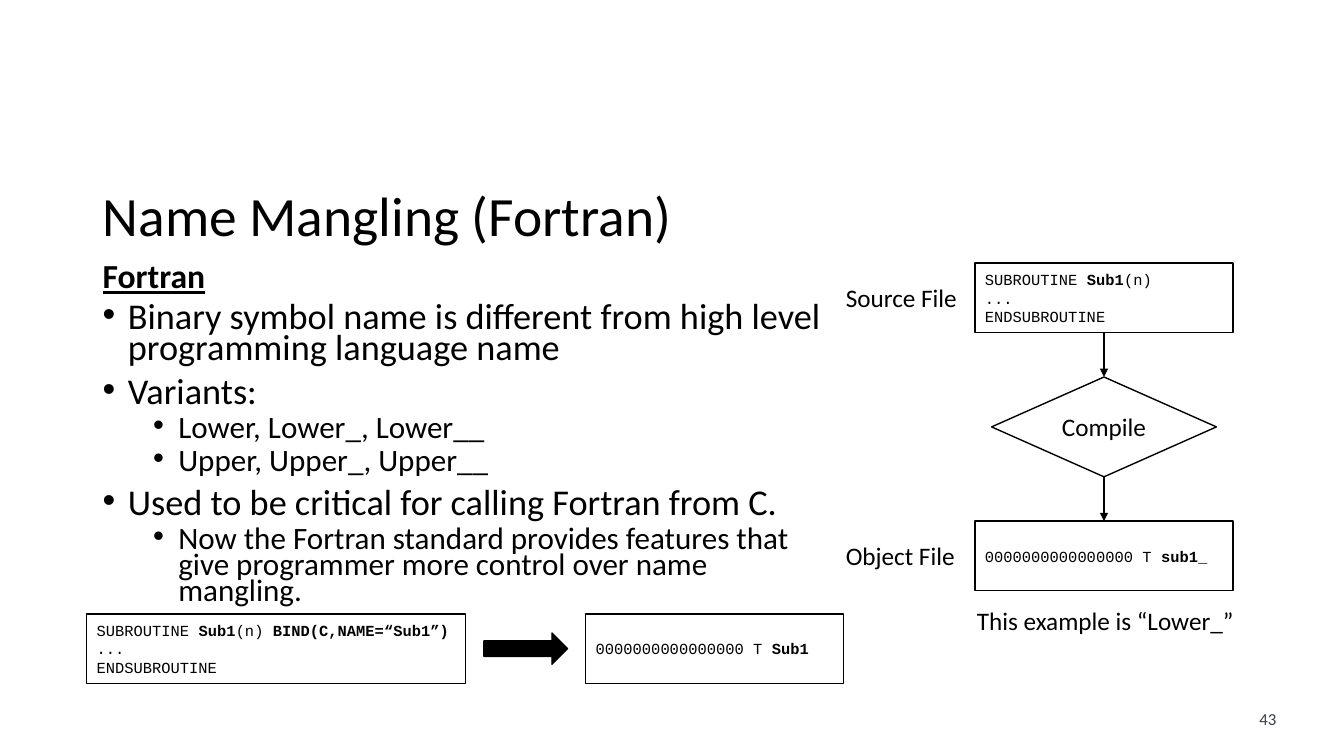
from dataclasses import dataclass

from lxml import etree
from pptx import Presentation
from pptx.dml.color import RGBColor
from pptx.enum.shapes import MSO_CONNECTOR as Connector, MSO_SHAPE as Shape
from pptx.enum.text import MSO_ANCHOR as Anchor, MSO_AUTO_SIZE as AutoSize, PP_ALIGN as Align
from pptx.oxml.ns import qn
from pptx.util import Inches, Pt

BLACK = RGBColor(0x00, 0x00, 0x00)
WHITE = RGBColor(0xFF, 0xFF, 0xFF)
SLATE = RGBColor(0x33, 0x3F, 0x50)
SANS, MONO = "Calibri", "Courier New"
SLIDE_WIDTH, SLIDE_HEIGHT = 13.33, 7.5
NODE_WIDTH, NODE_HEIGHT = 2.56, 0.69
LABEL_HEIGHT = 0.4

BULLETS = [
    (0, "Binary symbol name is different from high level programming language name"),
    (0, "Variants:"),
    (1, "Lower, Lower_, Lower__"),
    (1, "Upper, Upper_, Upper__"),
    (0, "Used to be critical for calling Fortran from C."),
    (1, "Now the Fortran standard provides features that give programmer "
        "more control over name mangling."),
]
SOURCE_CODE = [[("SUBROUTINE ", False), ("Sub1", True), ("(n)", False)],
               [("...", False)], [("ENDSUBROUTINE", False)]]
BIND_CODE = [[("SUBROUTINE ", False), ("Sub1", True), ("(n) ", False),
              ("BIND(C,NAME=“Sub1”)", True)], *SOURCE_CODE[1:]]


@dataclass
class Box:
    """A rectangle in inches."""
    left: float
    top: float
    width: float
    height: float

    def emu(self):
        """Return the rectangle as lengths for python-pptx."""
        return [Inches(value) for value in (self.left, self.top, self.width, self.height)]


def symbol_code(name):
    """Return the object file line for a symbol."""
    return [[("0000000000000000 T ", False), (name, True)]]


def style(paragraph, size, name=SANS, color=BLACK, align=Align.LEFT):
    """Set the font and alignment of a paragraph."""
    paragraph.alignment = align
    font = paragraph.font
    font.name, font.size, font.color.rgb = name, Pt(size), color


def add_label(slide, box, text, size=18, color=BLACK, align=Align.LEFT):
    """Add one unwrapped line of text."""
    frame = slide.shapes.add_textbox(*box.emu()).text_frame
    frame.word_wrap = False
    frame.text = text
    style(frame.paragraphs[0], size, color=color, align=align)
    return frame


def add_node(slide, kind, box, fill=WHITE):
    """Add an outlined shape and return its text frame."""
    shape = slide.shapes.add_shape(kind, *box.emu())
    shape.shadow.inherit = False
    shape.fill.solid()
    shape.fill.fore_color.rgb = fill
    shape.line.color.rgb = BLACK
    shape.line.width = Pt(1)
    frame = shape.text_frame
    frame.vertical_anchor = Anchor.MIDDLE
    return frame


def add_code(slide, box, lines):
    """Add a box of code with bold symbol names."""
    frame = add_node(slide, Shape.RECTANGLE, box)
    for index, line in enumerate(lines):
        paragraph = frame.add_paragraph() if index else frame.paragraphs[0]
        style(paragraph, 11, MONO)
        for text, bold in line:
            run = paragraph.add_run()
            run.text, run.font.bold = text, bold


def add_arrow(slide, x, top, bottom):
    """Add a downward arrow."""
    arrow = slide.shapes.add_connector(
        Connector.STRAIGHT, Inches(x), Inches(top), Inches(x), Inches(bottom))
    arrow.line.color.rgb = BLACK
    arrow.line.width = Pt(1)
    properties = arrow.element.spPr
    etree.SubElement(properties.find(qn("a:ln")), qn("a:tailEnd"), type="triangle")
    etree.SubElement(properties, qn("a:effectLst"))


def add_title(slide, box, text):
    """Place and format the title placeholder."""
    title = slide.shapes.title
    title.left, title.top, title.width, title.height = box.emu()
    frame = title.text_frame
    frame.text = text
    frame.auto_size = AutoSize.NONE
    frame.vertical_anchor = Anchor.MIDDLE
    paragraph = frame.paragraphs[0]
    paragraph.line_spacing = 0.9
    style(paragraph, 39.6)


def add_outline(slide, box):
    """Add the underlined heading and the bullets below it."""
    heading_height = 0.45
    heading = add_label(slide, Box(box.left, box.top, box.width, heading_height), "Fortran", 24)
    heading.vertical_anchor = Anchor.BOTTOM
    paragraph = heading.paragraphs[0]
    paragraph.line_spacing = 0.8
    paragraph.font.bold = paragraph.font.underline = True

    body = Box(box.left, box.top + heading_height, box.width, box.height - heading_height)
    frame = slide.shapes.add_textbox(*body.emu()).text_frame
    frame.word_wrap = True
    for index, (level, text) in enumerate(BULLETS):
        paragraph = frame.add_paragraph() if index else frame.paragraphs[0]
        paragraph.text, paragraph.level = text, level
        properties = paragraph._p.get_or_add_pPr()
        properties.set("marL", str(Inches(0.25 + 0.5 * level)))
        properties.set("indent", str(Inches(-0.25)))
        etree.SubElement(properties, qn("a:buFont"), typeface="Arial")
        etree.SubElement(properties, qn("a:buChar"), char="•")
        paragraph.line_spacing = 0.7
        if index:
            paragraph.space_before = Pt(5 if level else 10)
        style(paragraph, 22.2 if level else 25.9)


def add_compile_flow(slide, box):
    """Add the chart from source file through the compiler to object file."""
    diamond_width, diamond_height = 2.23, 0.99
    gap = (box.height - 2 * NODE_HEIGHT - diamond_height) / 2
    node_left = box.left + box.width - NODE_WIDTH
    center = node_left + NODE_WIDTH / 2
    diamond_top = box.top + NODE_HEIGHT + gap
    object_top = box.top + box.height - NODE_HEIGHT

    for top, label, lines in ((box.top, "Source File", SOURCE_CODE),
                              (object_top, "Object File", symbol_code("sub1_"))):
        add_code(slide, Box(node_left, top, NODE_WIDTH, NODE_HEIGHT), lines)
        label_top = top + (NODE_HEIGHT - LABEL_HEIGHT) / 2
        add_label(slide, Box(box.left, label_top, 1.32, LABEL_HEIGHT), label)

    diamond = Box(center - diamond_width / 2, diamond_top, diamond_width, diamond_height)
    frame = add_node(slide, Shape.DIAMOND, diamond)
    frame.text = "Compile"
    style(frame.paragraphs[0], 18, align=Align.CENTER)
    for bottom in (diamond_top, object_top):
        add_arrow(slide, center, bottom - gap, bottom)
    caption = Box(center - 1.36, box.top + box.height + 0.1, 2.76, LABEL_HEIGHT)
    add_label(slide, caption, "This example is “Lower_”")


def add_bind_example(slide, box):
    """Add the BIND source, a block arrow and the resulting symbol."""
    source_width, arrow_width, arrow_height = 3.76, 0.83, 0.31
    symbol_left = box.left + box.width - NODE_WIDTH
    gap = (box.width - source_width - NODE_WIDTH - arrow_width) / 2
    add_code(slide, Box(box.left, box.top, source_width, box.height), BIND_CODE)
    arrow = Box(box.left + source_width + gap, box.top + (box.height - arrow_height) / 2,
                arrow_width, arrow_height)
    add_node(slide, Shape.RIGHT_ARROW, arrow, BLACK)
    add_code(slide, Box(symbol_left, box.top, NODE_WIDTH, box.height), symbol_code("Sub1"))


def main():
    """Build and save the slide."""
    presentation = Presentation()
    presentation.slide_width = Inches(SLIDE_WIDTH)
    presentation.slide_height = Inches(SLIDE_HEIGHT)
    slide = presentation.slides.add_slide(presentation.slide_layouts[5])
    add_title(slide, Box(0.92, 1.82, 11.5, 0.7), "Name Mangling (Fortran)")
    add_outline(slide, Box(0.92, 2.53, 7.39, 3.83))
    add_compile_flow(slide, Box(8.29, 2.61, 3.94, 3.25))
    add_bind_example(slide, Box(0.86, 6.09, 7.51, NODE_HEIGHT))
    add_label(slide, Box(12.34, 6.98, 0.47, 0.3), "43", 12, SLATE, Align.CENTER)
    presentation.save("out.pptx")


if __name__ == "__main__":
    main()
